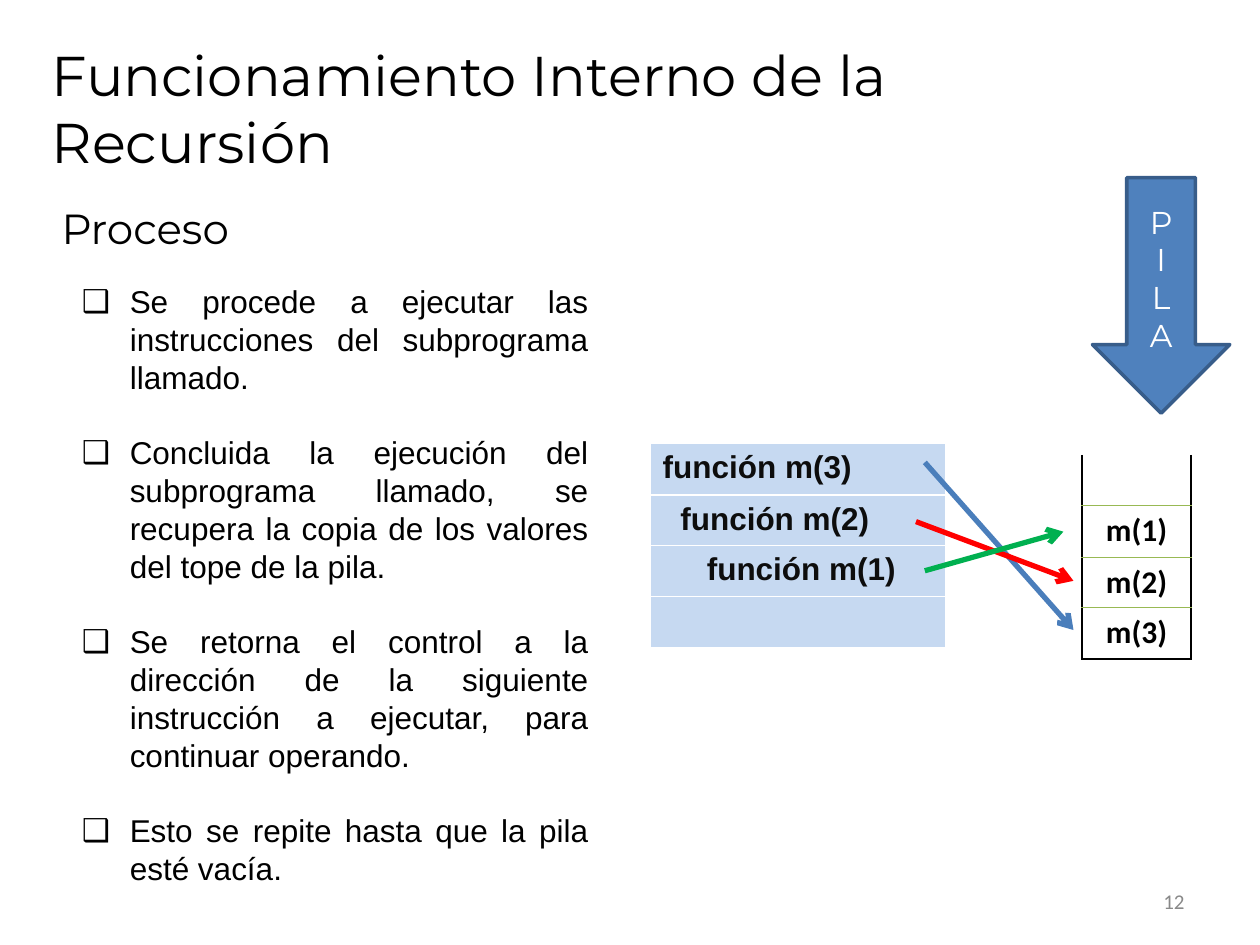
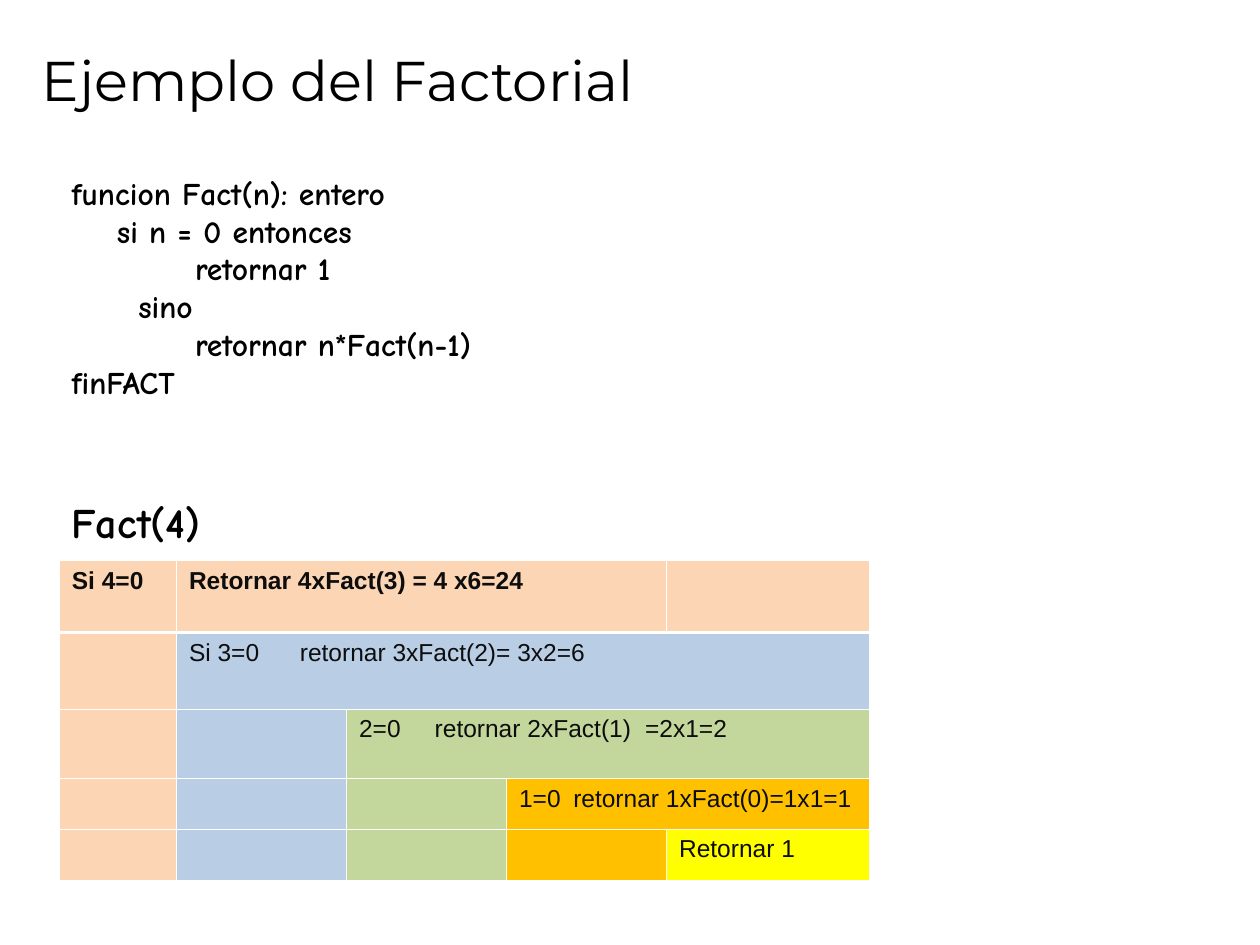
from lxml.etree import SubElement
from pptx import Presentation
from pptx.dml.color import RGBColor
from pptx.enum.shapes import MSO_CONNECTOR, MSO_SHAPE
from pptx.enum.text import MSO_ANCHOR, MSO_AUTO_SIZE, PP_ALIGN
from pptx.oxml import parse_xml
from pptx.oxml.ns import nsdecls, qn
from pptx.util import Inches, Pt

BLACK, WHITE, INK = "000000", "FFFFFF", "0D0D0D"
BLUE, BLUE_EDGE, PALE_BLUE = "4F81BD", "385D8A", "C6D9F1"
HEADING, BODY, CODE, LABEL = "Montserrat", "Arial", "Comic Neue", "Calibri"
LINE_PITCH = Pt(21.6)

THIN, THICK = (WHITE, 0.45), (WHITE, 1.47)
STACK_SIDE, STACK_RULE = (BLACK, 1.47), ("98B954", 0.34)

STEPS = [
    "Se procede a ejecutar las instrucciones del subprograma llamado.",
    "Concluida la ejecución del subprograma llamado, se recupera la copia "
    "de los valores del tope de la pila.",
    "Se retorna el control a la dirección de la siguiente instrucción a "
    "ejecutar, para continuar operando.",
    "Esto se repite hasta que la pila esté vacía.",
]
CALLS = [("función m(3)", 0), ("función m(2)", 0.14), ("función m(1)", 0.35), ("", 0)]
STACK = ["", "", "m(1)", "m(2)", "m(3)"]
PUSHES = [
    ((7.34, 3.67), (8.52, 5), "4A7EBB"),
    ((7.27, 4.14), (8.52, 4.61), "FF0000"),
    ((7.34, 4.53), (8.44, 4.22), "00B050"),
]
FACTORIAL_CODE = [
    ("funcion Fact(n): entero", 0),
    ("si n = 0 entonces", 0.36),
    ("retornar 1", 0.98),
    ("sino", 0.53),
    ("retornar n*Fact(n-1)", 0.98),
    ("finFACT", 0),
]
LEVEL_COLOURS = ["FCD5B5", "B9CDE5", "C3D69B", "FFC000", "FFFF00"]
LEVELS = [
    ("Si 4=0", []),
    ("Si 3=0\tretornar 3xFact(2)= 3x2=6", [0.88]),
    ("2=0\tretornar 2xFact(1)\t=2x1=2", [0.6, 2.27]),
    ("1=0\tretornar 1xFact(0)=1x1=1", [0.43]),
    ("Retornar 1", []),
]


def rgb(value):
    return RGBColor.from_string(value)


def box(*lengths):
    return [Inches(length) for length in lengths]


def style(paragraph, font, size, colour=BLACK, bold=False, align=PP_ALIGN.LEFT):
    paragraph.alignment = align
    paragraph.font.name = font
    paragraph.font.size = Pt(size)
    paragraph.font.bold = bold
    paragraph.font.color.rgb = rgb(colour)


def indent(paragraph, left, first=0):
    properties = paragraph._p.get_or_add_pPr()
    properties.set("marL", str(Inches(left)))
    properties.set("indent", str(Inches(first)))
    return properties


def add_bullet(paragraph, symbol):
    properties = indent(paragraph, 0.38, -0.38)
    colour = SubElement(properties, qn("a:buClr"))
    SubElement(colour, qn("a:srgbClr"), val=BLACK)
    SubElement(properties, qn("a:buChar"), char=symbol)


def add_tab_stops(paragraph, stops):
    if stops:
        tabs = SubElement(paragraph._p.get_or_add_pPr(), qn("a:tabLst"))
        for stop in stops:
            SubElement(tabs, qn("a:tab"), pos=str(Inches(stop)), algn="l")


def place(placeholder, left, top, width, height):
    placeholder.left, placeholder.top, placeholder.width, placeholder.height = box(
        left, top, width, height
    )
    placeholder.text_frame.auto_size = MSO_AUTO_SIZE.NONE
    return placeholder.text_frame


def paragraphs_for(frame, lines):
    frame.text = "\n".join(lines)
    return frame.paragraphs


def set_title(slide, text, left, top):
    frame = place(slide.shapes.title, left, top, 8.52, 1.25)
    frame.vertical_anchor = MSO_ANCHOR.MIDDLE
    frame.text = text
    style(frame.paragraphs[0], HEADING, 32)


def set_steps(slide, steps):
    frame = place(slide.placeholders[1], 0.55, 2.19, 4.22, 5)
    for paragraph in paragraphs_for(frame, steps):
        paragraph.line_spacing = LINE_PITCH
        paragraph.space_before = Pt(0)
        paragraph.space_after = LINE_PITCH
        add_bullet(paragraph, "❑")
        style(paragraph, BODY, 18, align=PP_ALIGN.JUSTIFY)


def add_text(slide, area, text, font, size, **look):
    frame = slide.shapes.add_textbox(*box(*area)).text_frame
    frame.word_wrap = True
    frame.text = text
    style(frame.paragraphs[0], font, size, **look)
    return frame


def add_code(slide, area, lines):
    frame = slide.shapes.add_textbox(*box(*area)).text_frame
    frame.word_wrap = True
    texts = [text for text, _ in lines]
    for paragraph, (_, depth) in zip(paragraphs_for(frame, texts), lines):
        paragraph.line_spacing = LINE_PITCH
        indent(paragraph, depth)
        style(paragraph, CODE, 18, bold=True)


def add_grid(slide, left, top, widths, heights):
    area = box(left, top, sum(widths), sum(heights))
    table = slide.shapes.add_table(len(heights), len(widths), *area).table
    table.first_row = table.horz_banding = False
    for column, width in zip(table.columns, widths):
        column.width = Inches(width)
    for row, height in zip(table.rows, heights):
        row.height = Inches(height)
    return table


def paint_cell(cell, fill, left, right, top, bottom):
    if fill:
        cell.fill.solid()
        cell.fill.fore_color.rgb = rgb(fill)
    else:
        cell.fill.background()
    edges = {"lnL": left, "lnR": right, "lnT": top, "lnB": bottom}
    for position, (tag, edge) in enumerate(edges.items()):
        if edge:
            colour, width = edge
            paint = f'<a:solidFill><a:srgbClr val="{colour}"/></a:solidFill>'
        else:
            width, paint = 0, "<a:noFill/>"
        line = f'<a:{tag} {nsdecls("a")} w="{Pt(width)}">{paint}</a:{tag}>'
        cell._tc.get_or_add_tcPr().insert(position, parse_xml(line))


def paint_white_ruled(cell, fill, row):
    top = THICK if row == 1 else THIN
    bottom = THICK if row == 0 else THIN
    paint_cell(cell, fill, THIN, THIN, top, bottom)


def write_cell(cell, text, font, size, stops=(), **look):
    cell.text = text
    paragraph = cell.text_frame.paragraphs[0]
    add_tab_stops(paragraph, stops)
    style(paragraph, font, size, **look)
    return paragraph


def add_calls(slide):
    table = add_grid(slide, 5.16, 3.52, [2.34], [0.41, 0.4, 0.4, 0.41])
    for row, (call, depth) in enumerate(CALLS):
        cell = table.cell(row, 0)
        paint_white_ruled(cell, PALE_BLUE, row)
        indent(write_cell(cell, call, BODY, 18, colour=INK, bold=True), depth)


def add_stack(slide):
    table = add_grid(slide, 8.59, 3.2, [0.86], [0.41, 0.4, 0.41, 0.4, 0.41])
    last = len(STACK) - 1
    for row, call in enumerate(STACK):
        cell = table.cell(row, 0)
        side = STACK_SIDE if row else None
        top = STACK_RULE if row > 1 else None
        bottom = STACK_SIDE if row == last else STACK_RULE if row else None
        paint_cell(cell, None if row else WHITE, side, side, top, bottom)
        write_cell(cell, call, LABEL, 18, bold=True, align=PP_ALIGN.CENTER)


def add_push(slide, start, end, colour):
    push = slide.shapes.add_connector(MSO_CONNECTOR.STRAIGHT, *box(*start, *end))
    push.line.color.rgb = rgb(colour)
    push.line.width = Pt(3)
    SubElement(push.line._get_or_add_ln(), qn("a:tailEnd"), type="arrow")
    SubElement(push._element.spPr, qn("a:effectLst"))


def add_stack_arrow(slide):
    arrow = slide.shapes.add_shape(MSO_SHAPE.DOWN_ARROW, *box(8.67, 1.41, 1.09, 1.87))
    arrow.shadow.inherit = False
    arrow.fill.solid()
    arrow.fill.fore_color.rgb = rgb(BLUE)
    arrow.line.color.rgb = rgb(BLUE_EDGE)
    arrow.line.width = Pt(2)
    arrow.text_frame.vertical_anchor = MSO_ANCHOR.MIDDLE
    for letter in paragraphs_for(arrow.text_frame, "PILA"):
        style(letter, HEADING, 18, WHITE, align=PP_ALIGN.CENTER)


def add_factorial_trace(slide):
    widths = [0.93, 1.35, 1.27, 1.27, 1.61]
    table = add_grid(slide, 0.47, 4.45, widths, [0.57, 0.61, 0.55, 0.4, 0.41])
    last = len(widths) - 1
    for row, (text, stops) in enumerate(LEVELS):
        for column in range(len(widths)):
            colour = LEVEL_COLOURS[min(row, column)]
            paint_white_ruled(table.cell(row, column), colour, row)
        write_cell(table.cell(row, row), text, BODY, 14, stops, colour=INK, bold=row == 0)
        if 0 < row < last:
            table.cell(row, row).merge(table.cell(row, last))
    result = table.cell(0, 1)
    write_cell(result, "Retornar 4xFact(3) = 4 x6=24", BODY, 14, colour=INK, bold=True)
    result.merge(table.cell(0, 3))


def build_process(deck):
    slide = deck.slides.add_slide(deck.slide_layouts[1])
    set_title(slide, "Funcionamiento Interno de la Recursión", 0.31, 0.23)
    set_steps(slide, STEPS)
    add_text(slide, (0.39, 1.56, 3.05, 0.5), "Proceso", HEADING, 24)
    number = add_text(slide, (7.17, 6.95, 2.33, 0.4), "12", LABEL, 12,
                      colour="898989", align=PP_ALIGN.RIGHT)
    number.vertical_anchor = MSO_ANCHOR.MIDDLE
    add_calls(slide)
    add_stack(slide)
    for start, end, colour in PUSHES:
        add_push(slide, start, end, colour)
    add_stack_arrow(slide)


def build_factorial(deck):
    slide = deck.slides.add_slide(deck.slide_layouts[5])
    set_title(slide, "Ejemplo del Factorial", 0.23, 0)
    add_code(slide, (0.47, 1.33, 4.3, 1.9), FACTORIAL_CODE)
    add_factorial_trace(slide)
    add_text(slide, (0.47, 3.89, 1.87, 0.5), "Fact(4)", CODE, 24, bold=True)


def main():
    deck = Presentation()
    deck.slide_width, deck.slide_height = box(10, 7.5)
    build_process(deck)
    build_factorial(deck)
    deck.save("out.pptx")


if __name__ == "__main__":
    main()
